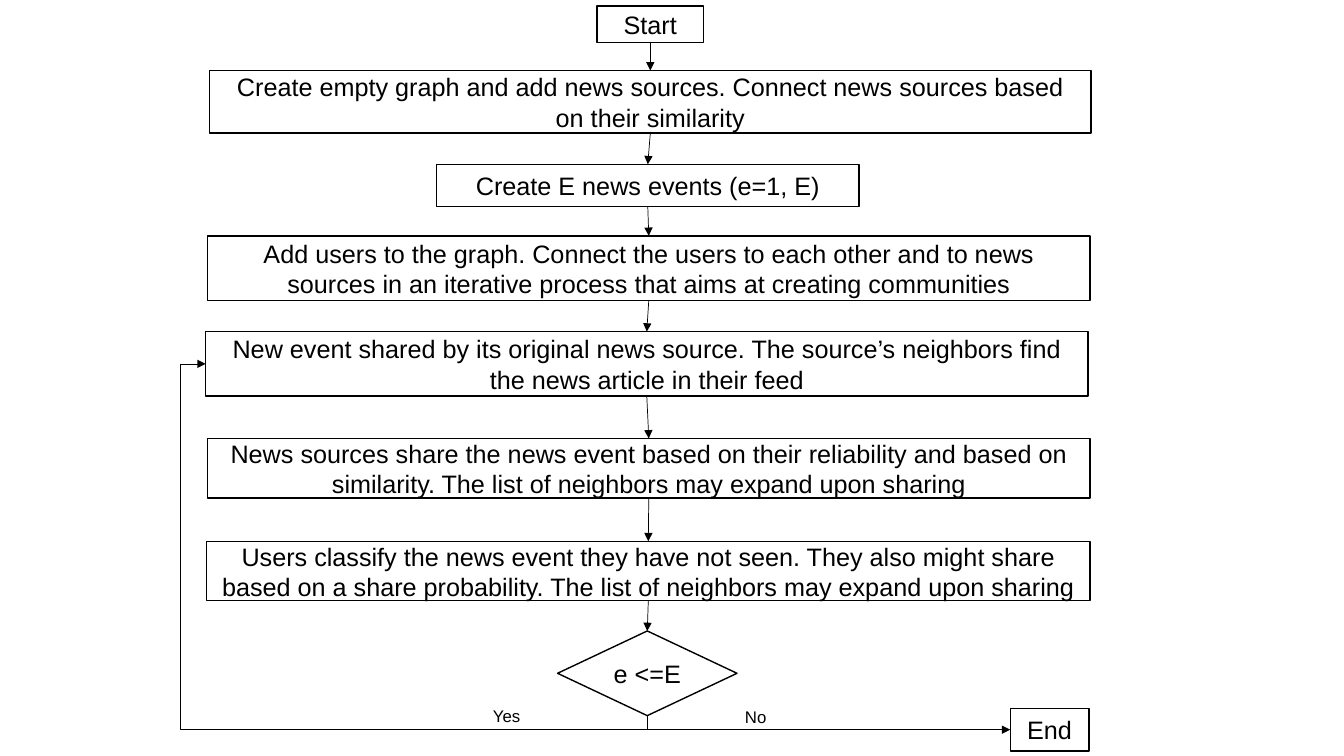
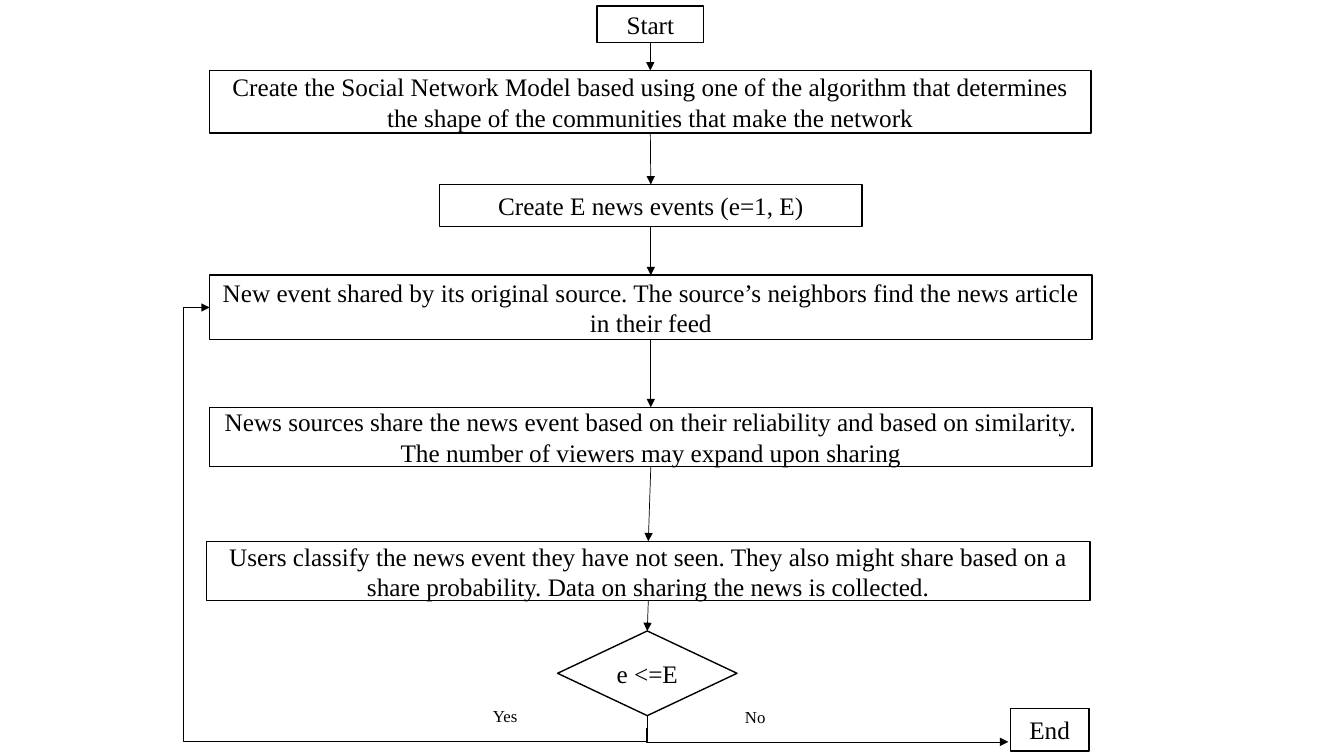
"""Build two flowcharts of the news sharing simulation."""
import itertools

import pptx
import pptx.dml.color
import pptx.enum.shapes
import pptx.enum.text
import pptx.oxml
import pptx.oxml.ns
import pptx.util

Inches = pptx.util.Inches
Pt = pptx.util.Pt
qn = pptx.oxml.ns.qn
SHAPE = pptx.enum.shapes.MSO_SHAPE
CONNECTOR = pptx.enum.shapes.MSO_CONNECTOR
ALIGN = pptx.enum.text.PP_ALIGN
ANCHOR = pptx.enum.text.MSO_ANCHOR
BLACK = pptx.dml.color.RGBColor(0x00, 0x00, 0x00)
WHITE = pptx.dml.color.RGBColor(0xFF, 0xFF, 0xFF)
TOP, LEFT, BOTTOM = 0, 1, 2

START = ("Start", 5.92, 0.06, 1.06, 0.36)
DECISION = ("e <=E", 5.53, 6.26, 1.78, 0.84)
END = ("End", 10.02, 7.03, 0.78, 0.42)
BRANCH_LABELS = [("Yes", 4.79, 6.95), ("No", 7.29, 6.96)]

CHARTS = [
    {
        "font": "Arial",
        "loop_step": 3,
        "base": 7.24,
        "loop_x": 1.79,
        "exit": ((6.42, 7.11), (10.02, 7.24)),
        "exit_joined": True,
        "steps": [
            ("Create empty graph and add news sources. Connect news sources "
             "based on their similarity", 2.08, 0.7, 8.74, 0.62),
            ("Create E news events (e=1, E)", 4.33, 1.63, 4.19, 0.42),
            ("Add users to the graph. Connect the users to each other and to "
             "news sources in an iterative process that aims at creating "
             "communities", 2.06, 2.34, 8.75, 0.64),
            ("New event shared by its original news source. The source’s "
             "neighbors find the news article in their feed",
             2.04, 3.29, 8.75, 0.64),
            ("News sources share the news event based on their reliability "
             "and based on similarity. The list of neighbors may expand upon "
             "sharing", 2.06, 4.35, 8.75, 0.59),
            ("Users classify the news event they have not seen. They also "
             "might share based on a share probability. The list of neighbors "
             "may expand upon sharing", 2.05, 5.37, 8.76, 0.59),
        ],
    },
    {
        "font": "Times New Roman",
        "loop_step": 2,
        "base": 7.36,
        "loop_x": 1.82,
        "exit": ((6.41, 7.22), (10, 7.36)),
        "exit_joined": False,
        "steps": [
            ("Create the Social Network Model based using one of the algorithm "
             "that determines the shape of the communities that make the "
             "network", 2.08, 0.7, 8.74, 0.62),
            ("Create E news events (e=1, E)", 4.36, 1.83, 4.19, 0.42),
            ("New event shared by its original source. The source’s neighbors "
             "find the news article in their feed", 2.08, 2.73, 8.75, 0.64),
            ("News sources share the news event based on their reliability "
             "and based on similarity. The number of viewers may expand upon "
             "sharing", 2.08, 4.04, 8.75, 0.59),
            ("Users classify the news event they have not seen. They also "
             "might share based on a share probability. Data on sharing the "
             "news is collected.", 2.05, 5.37, 8.76, 0.59),
        ],
    },
]


def element(tag, attributes="", content=""):
    ns = pptx.oxml.ns.nsdecls("a")
    return pptx.oxml.parse_xml(f"<a:{tag} {ns} {attributes}>{content}</a:{tag}>")


class Flowchart:
    def __init__(self, prs, font):
        self.slide = prs.slides.add_slide(prs.slide_layouts[6])
        self.font = font

    def set_text(self, sp, text, size):
        tf = sp.text_frame
        tf.word_wrap = True
        p = tf.paragraphs[0]
        p.text = text
        p.font.name = self.font
        p.font.size = Pt(size)
        p.font.color.rgb = BLACK
        return tf

    def box(self, text, left, top, width, height, kind=SHAPE.RECTANGLE):
        sp = self.slide.shapes.add_shape(
            kind, Inches(left), Inches(top), Inches(width), Inches(height))
        sp.shadow.inherit = False
        sp.fill.solid()
        sp.fill.fore_color.rgb = WHITE
        sp.line.color.rgb = BLACK
        sp.line.width = Pt(1)
        tf = self.set_text(sp, text, 18)
        tf.vertical_anchor = ANCHOR.MIDDLE
        tf.paragraphs[0].alignment = ALIGN.CENTER
        return sp

    def label(self, text, left, top):
        sp = self.slide.shapes.add_textbox(
            Inches(left), Inches(top), Inches(0.62), Inches(0.3))
        tf = self.set_text(sp, text, 12)
        tf.auto_size = pptx.enum.text.MSO_AUTO_SIZE.SHAPE_TO_FIT_TEXT

    def connector(self, kind):
        c = self.slide.shapes.add_connector(kind, 0, 0, 0, 0)
        c.line.color.rgb = BLACK
        c.line.width = Pt(0.5)
        ln = c._element.spPr.find(qn("a:ln"))
        ln.append(element("tailEnd", 'type="triangle"'))
        ln.addnext(element("effectLst"))
        return c

    def arrow(self, upper, lower):
        c = self.connector(CONNECTOR.STRAIGHT)
        c.begin_connect(upper, BOTTOM)
        c.end_connect(lower, TOP)

    def elbow(self, start, end, preset, adjusts=(), joined=None):
        c = self.connector(CONNECTOR.ELBOW)
        if joined:
            c.begin_connect(joined[0], BOTTOM)
            c.end_connect(joined[1], LEFT)
        (x1, y1), (x2, y2) = start, end
        width, height = abs(y2 - y1), abs(x2 - x1)
        c.left = Inches((x1 + x2 - width) / 2)
        c.top = Inches((y1 + y2 - height) / 2)
        c.width, c.height = Inches(width), Inches(height)
        xfrm = c._element.spPr.find(qn("a:xfrm"))
        xfrm.attrib.pop("flipV", None)
        xfrm.set("flipH", "1")
        xfrm.set("rot", str((90 if x2 < x1 else 270) * 60000))
        geom = c._element.spPr.find(qn("a:prstGeom"))
        geom.set("prst", preset)
        for child in list(geom):
            geom.remove(child)
        guides = "".join(
            f'<a:gd name="adj{i}" fmla="val {round(value * 100000)}"/>'
            for i, value in enumerate(adjusts, 1))
        geom.append(element("avLst", content=guides))

    def loop(self, decision, step, base, x):
        x1 = (decision.left + decision.width / 2) / Inches(1)
        y1 = (decision.top + decision.height) / Inches(1)
        x2 = step.left / Inches(1)
        y2 = (step.top + step.height / 2) / Inches(1)
        adjusts = ((y1 - base) / (y1 - y2), (x1 - x) / (x1 - x2))
        self.elbow((x1, y1), (x2, y2), "bentConnector4", adjusts,
                   (decision, step))


def draw(prs, chart):
    s = Flowchart(prs, chart["font"])
    start = s.box(*START)
    steps = [s.box(*step) for step in chart["steps"]]
    decision = s.box(*DECISION, SHAPE.DIAMOND)
    end = s.box(*END)
    for upper, lower in itertools.pairwise([start, *steps, decision]):
        s.arrow(upper, lower)
    s.loop(decision, steps[chart["loop_step"]], chart["base"], chart["loop_x"])
    s.elbow(*chart["exit"], "bentConnector2",
            joined=(decision, end) if chart["exit_joined"] else None)
    for label in BRANCH_LABELS:
        s.label(*label)


def main():
    prs = pptx.Presentation()
    prs.slide_width = Inches(13.33)
    prs.slide_height = Inches(7.5)
    for chart in CHARTS:
        draw(prs, chart)
    prs.save("out.pptx")


if __name__ == "__main__":
    main()
